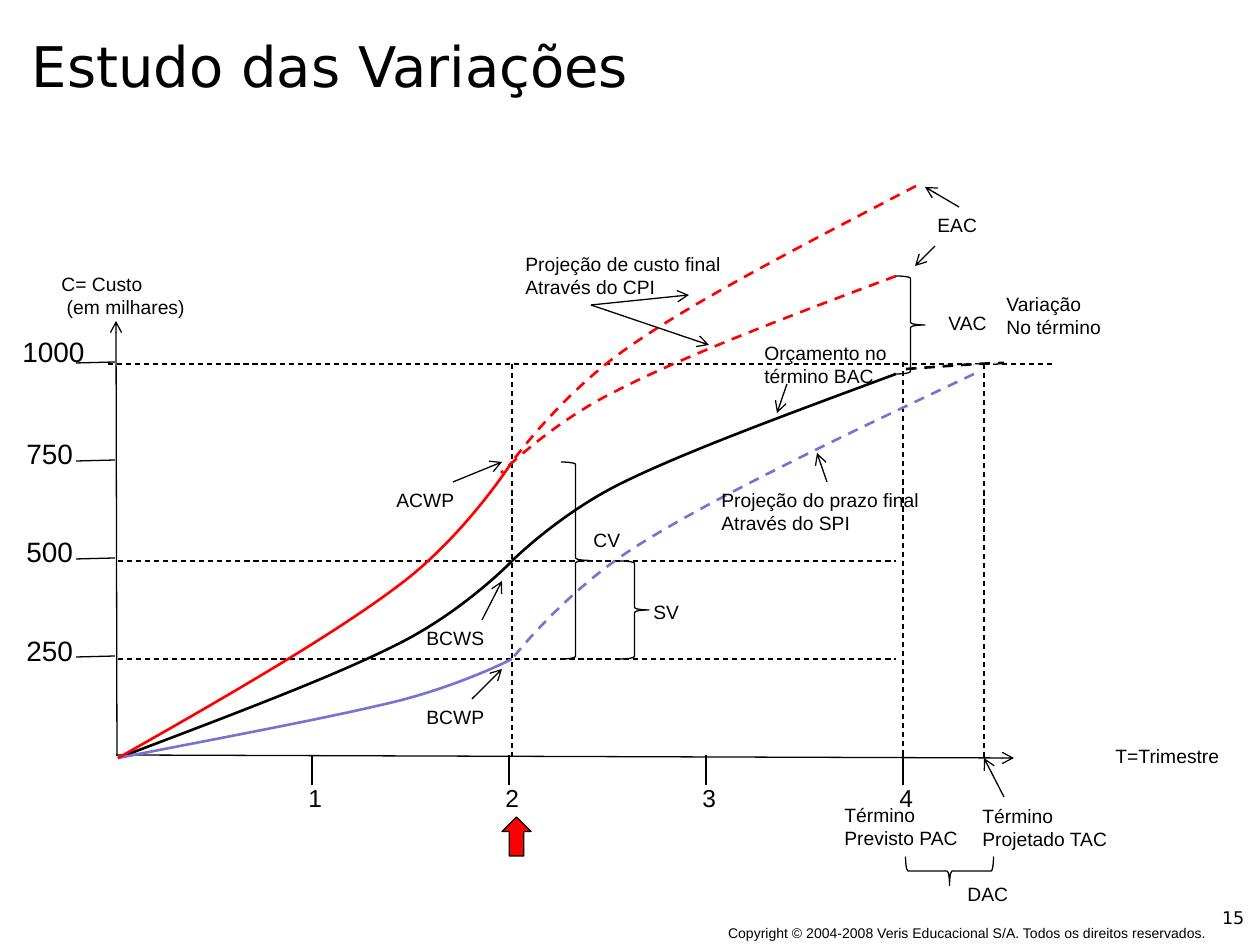
from pptx import Presentation
from pptx.dml.color import RGBColor
from pptx.enum.dml import MSO_LINE
from pptx.enum.shapes import MSO_CONNECTOR, MSO_SHAPE
from pptx.enum.text import MSO_AUTO_SIZE
from pptx.oxml.ns import qn
from pptx.util import Pt
from lxml.etree import SubElement

SCALE = 914400 / 126
BLACK = RGBColor(0, 0, 0)
RED = RGBColor(255, 0, 0)
BLUE = RGBColor(0x75, 0x75, 0xD1)
PALE = RGBColor(0xBB, 0xE0, 0xE3)
FIT = dict(word_wrap=False, auto_size=MSO_AUTO_SIZE.SHAPE_TO_FIT_TEXT)
FLAT = dict(word_wrap=False, margin_left=0, margin_right=0,
            margin_top=0, margin_bottom=0)


def emu(*sizes):
    return [round(size * SCALE) for size in sizes]


def apply(target, values):
    for name, value in values.items():
        setattr(target, name, value)


class Board:
    def __init__(self, deck):
        self.shapes = deck.slides.add_slide(deck.slide_layouts[6]).shapes

    def text(self, words, box, size=11, face="Arial", frame=FIT):
        shape = self.shapes.add_textbox(*emu(*box))
        body = shape.text_frame
        apply(body, frame)
        for i, row in enumerate(words.split("\n")):
            para = body.paragraphs[0] if i == 0 else body.add_paragraph()
            run = para.add_run()
            run.text = row
            apply(run.font, dict(size=Pt(size), name=face))
            run.font.color.rgb = BLACK
        return shape

    def stroke(self, line, color=BLACK, width=0.75, dash=False):
        line.color.rgb = color
        line.width = Pt(width)
        if dash:
            line.dash_style = MSO_LINE.DASH

    def line(self, ends, dash=False, arrow=False):
        link = self.shapes.add_connector(MSO_CONNECTOR.STRAIGHT, *emu(*ends))
        self.stroke(link.line, dash=dash)
        if arrow:
            SubElement(link.line._get_or_add_ln(), qn("a:tailEnd"), type="arrow")
        SubElement(link._element.spPr, qn("a:effectLst"))
        return link

    def paint(self, shape, fill):
        shape.shadow.inherit = False
        if fill is None:
            shape.fill.background()
        else:
            shape.fill.solid()
            shape.fill.fore_color.rgb = fill

    def curve(self, points, color, dash=False, fill=None):
        pen = self.shapes.build_freeform(*points[0], scale=SCALE)
        pen.add_line_segments(points[1:], close=False)
        shape = pen.convert_to_shape()
        route = shape._element.find(".//" + qn("a:path"))
        steps = route.findall(qn("a:lnTo"))
        for i in range(0, len(steps), 3):
            bend = SubElement(route, qn("a:cubicBezTo"))
            for step in steps[i:i + 3]:
                bend.append(step[0])
                route.remove(step)
        self.paint(shape, fill)
        self.stroke(shape.line, color, 1.5, dash)

    def shape(self, kind, box, fill=None, turn=0):
        shape = self.shapes.add_shape(kind, *emu(*box))
        shape.rotation = turn
        self.paint(shape, fill)
        self.stroke(shape.line)


def main():
    deck = Presentation()
    deck.slide_width, deck.slide_height = emu(1260, 945)
    board = Board(deck)

    board.text("Copyright © 2004-2008 Veris Educacional S/A. "
               "Todos os direitos reservados.", (728, 925, 483, 29), 8, frame=FLAT)
    board.text("Estudo das Variações", (32, 32, 1045, 77), 32, "DejaVu Sans", FLAT)
    board.text("15", (1222, 907, 30, 31), 10, "DejaVu Sans", FLAT)

    board.line((116, 755, 1014, 758), arrow=True)
    board.line((117, 756, 116, 321), arrow=True)
    for i in range(4):
        x, y = 312 + 197 * i, 657 - 98 * i
        board.line((x, 755, x, 785))
        board.line((76, y, 115, y - 1))
        board.text(str(i + 1), (x - 16, 777, 39, 43), 14)
    for word, x, y, wide in (("250", 14, 627, 72), ("500", 14, 528, 72),
                             ("750", 14, 430, 72), ("1000", 10, 328, 87)):
        board.text(word, (x, y, wide, 47), 16)

    for ends in ((108, 364, 1053, 364), (118, 561, 896, 561),
                 (118, 659, 896, 659), (903, 362, 903, 755),
                 (512, 364, 512, 758), (984, 364, 984, 758)):
        board.line(ends, dash=True)

    start = (118, 758)
    for color, points in (
            (BLACK, [(226, 717), (333, 677), (398, 644), (464, 611), (512, 561), (512, 561)]),
            (BLUE, [(226, 737), (333, 717), (398, 701), (464, 684), (512, 659), (512, 659)]),
            (RED, [(226, 697), (333, 635), (398, 586), (464, 537), (512, 462), (512, 462)])):
        board.curve([start] + points, color)

    for color, dash, points in (
            (BLACK, False, [(896, 374), (791, 413), (687, 451), (622, 483),
                            (559, 514), (512, 561), (512, 561)]),
            (BLUE, True, [(974, 374), (849, 433), (723, 493), (645, 541),
                          (568, 587), (512, 659), (512, 659)]),
            (RED, True, [(896, 276), (789, 316), (682, 357), (616, 391),
                         (551, 423), (501, 473), (501, 473)]),
            (RED, True, [(916, 186), (805, 244), (696, 300), (629, 347),
                         (562, 393), (512, 462), (512, 462)])):
        board.curve(points, color, dash)
    board.curve([(906, 369), (960, 365), (987, 363), (1004, 363)], BLACK, True, PALE)

    board.shape(MSO_SHAPE.UP_ARROW, (502, 817, 29, 39), RED)
    for box, turn in (((561, 462, 29, 197), 0), ((896, 276, 29, 98), 0),
                      ((620, 561, 29, 98), 0), ((935, 827, 29, 88), 90)):
        board.shape(MSO_SHAPE.RIGHT_BRACE, box, turn=turn)

    for words, x, y, wide in (
            ("T=Trimestre", 1103, 738, 130), ("BCWS", 414, 620, 83),
            ("BCWP", 414, 699, 83), ("ACWP", 384, 482, 83),
            ("SV", 641, 594, 56), ("CV", 581, 522, 56),
            ("VAC", 936, 305, 68), ("DAC", 955, 876, 68)):
        board.text(words, (x, y, wide, 36))
    for words, x, y, wide in (
            ("C= Custo\n (em milhares)", 49, 266, 151),
            ("Orçamento no\ntérmino BAC", 752, 335, 154),
            ("Projeção do prazo final\nAtravés do SPI", 709, 482, 225),
            ("Projeção de custo final\nAtravés do CPI", 513, 246, 223),
            ("Término\nPrevisto PAC", 832, 797, 142),
            ("Término\nProjetado TAC", 970, 798, 153),
            ("Variação\nNo término", 994, 286, 122)):
        board.text(words, (x, y, wide, 59))

    for ends in ((787, 384, 777, 413), (827, 482, 817, 453),
                 (472, 699, 502, 669), (482, 620, 502, 581),
                 (453, 482, 502, 462), (1004, 797, 984, 758),
                 (935, 246, 915, 266), (591, 305, 709, 345),
                 (591, 305, 689, 295)):
        board.line(ends, arrow=True)
    label = board.text("EAC", (925, 207, 68, 36))
    board.line((959, 207, 925, 187), arrow=True).begin_connect(label, 0)

    deck.save("out.pptx")


if __name__ == "__main__":
    main()
